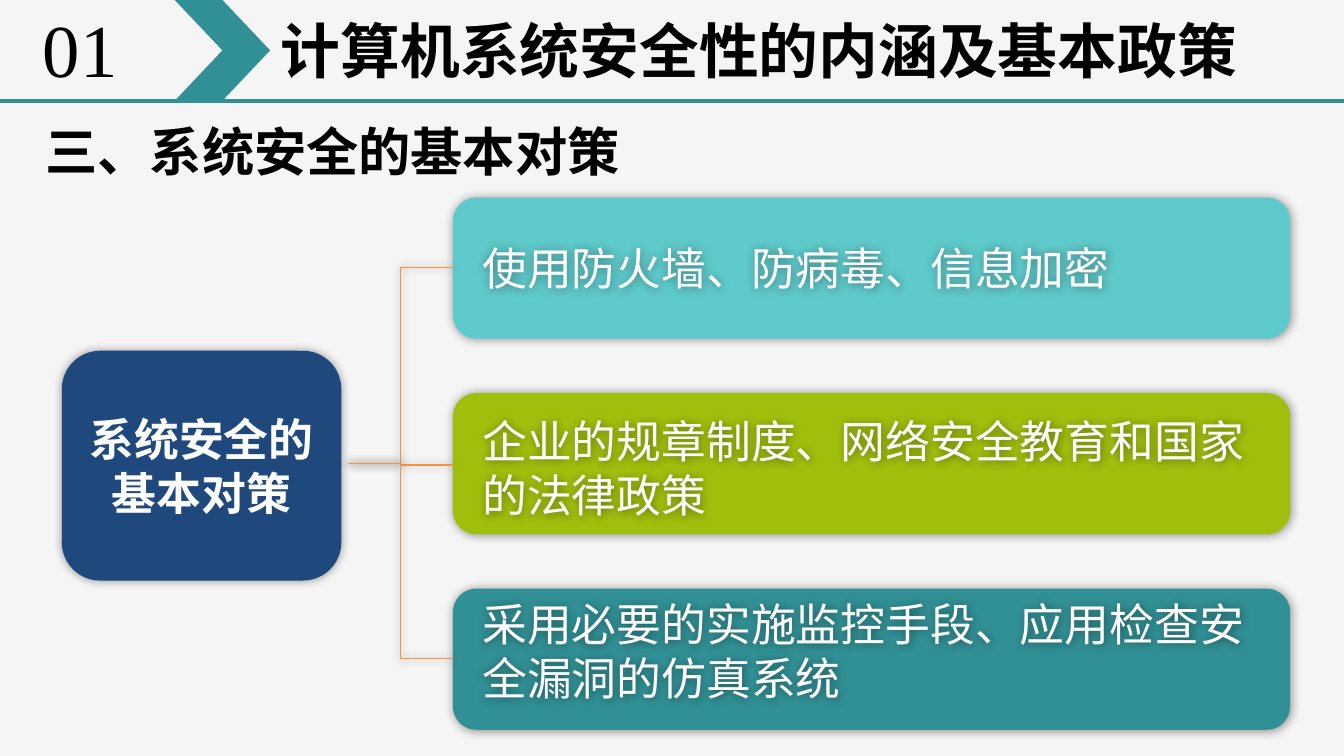
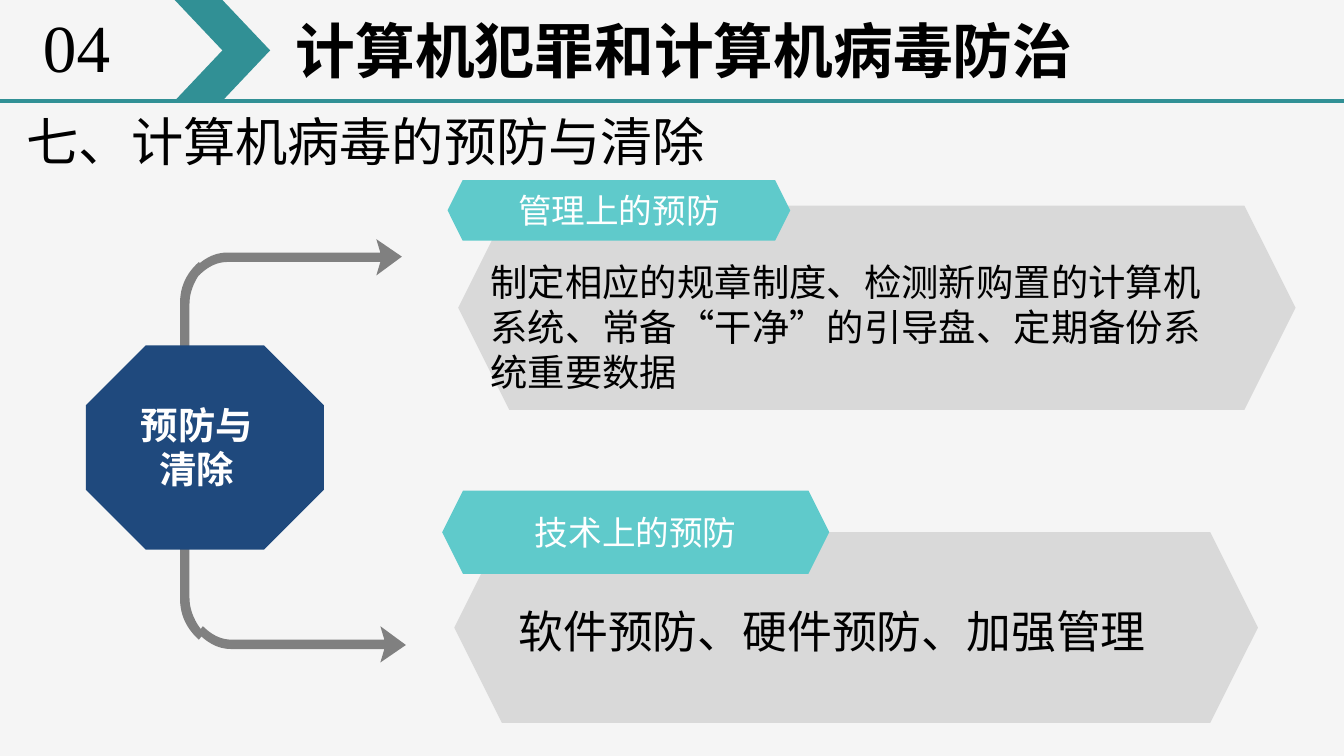
from dataclasses import dataclass

from lxml.etree import SubElement
from pptx import Presentation
from pptx.dml.color import RGBColor
from pptx.enum.shapes import MSO_CONNECTOR, MSO_SHAPE
from pptx.enum.text import MSO_ANCHOR, MSO_AUTO_SIZE, PP_ALIGN
from pptx.oxml.ns import qn
from pptx.util import Inches, Pt

PAPER, BLACK, WHITE = "F5F5F5", "000000", "FFFFFF"
TEAL, AQUA, LIME, NAVY = "319095", "5FCACB", "A0BF0D", "1F497D"
SILVER, GRAY, ORANGE = "D9D9D9", "808080", "F69240"
FONT = "Times New Roman"
TIGHT, NORMAL = (0.08, 0.04), (0.1, 0.05)
WIDTH = 10
HEIGHT = WIDTH * 9 / 16
MIRROR_SUM = 6.71

Box = tuple[float, float, float, float]
Point = tuple[float, float]


@dataclass
class Label:
    """Text with its look and frame settings."""
    text: str
    size: int
    color: str = BLACK
    bold: bool = False
    center: bool = False
    wrap: bool = True
    spacing: float | None = None
    inset: Point = NORMAL


@dataclass
class Branch:
    """One measure in the tree of slide 1."""
    color: str
    text: str
    text_top: float
    text_size: Point
    link_y: float


@dataclass
class Method:
    """One kind of prevention on slide 2."""
    panel: Box
    tag: Box
    title: str
    body: Box
    text: str
    size: int


BRANCHES = [
    Branch(AQUA, "使用防火墙、防病毒、信息加密", 1.74, (5.42, 0.5), 1.99),
    Branch(LIME, "企业的规章制度、网络安全教育和国家的法律政策", 3.03, (5.97, 0.91), 3.46),
    Branch(TEAL, "采用必要的实施监控手段、应用检查安全漏洞的仿真系统", 4.39, (5.98, 0.91), 4.9),
]
METHODS = [
    Method((3.41, 1.53, 6.23, 1.52), (3.33, 1.34, 2.55, 0.45), "管理上的预防",
           (3.55, 1.88, 5.63, 1.11),
           "制定相应的规章制度、检测新购置的计算机系统、常备“干净”的引导盘、定期备份系统重要数据", 20),
    Method((3.38, 3.96, 5.98, 1.42), (3.29, 3.65, 2.88, 0.62), "技术上的预防",
           (3.76, 4.44, 5.1, 0.5), "软件预防、硬件预防、加强管理", 24),
]
STEM = [[(1.52, 2)], [(1.46, 2.06), (1.41, 2.16), (1.41, 2.26)], [(1.41, 3.35)],
        [(1.34, 3.35)], [(1.34, 2.25)], [(1.34, 2.13), (1.39, 2.03), (1.48, 1.95)]]
ARROW = [[(2.83, 1.88)], [(2.8, 1.78)], [(2.99, 1.91)], [(2.8, 2.05)], [(2.83, 1.95)],
         [(1.69, 1.95)], [(1.61, 1.95), (1.54, 1.99), (1.48, 2.05)], [(1.44, 2)],
         [(1.51, 1.93), (1.59, 1.88), (1.69, 1.88)]]


def rgb(color: str) -> RGBColor:
    """Turn a hex string into a colour."""
    return RGBColor.from_string(color)


def inches(values) -> list:
    """Convert numbers to lengths."""
    return [Inches(v) for v in values]


def set_all(target, values: dict) -> None:
    """Set each named attribute on the target."""
    for name, value in values.items():
        setattr(target, name, value)


def set_shadow(sp, glow: bool) -> None:
    """Replace the theme shadow by a soft glow or by nothing."""
    effects = SubElement(sp._element.spPr, qn("a:effectLst"))
    if glow:
        shadow = SubElement(effects, qn("a:outerShdw"), blurRad=str(Pt(5)), dist="0",
                            dir="0", algn="ctr", rotWithShape="0")
        color = SubElement(shadow, qn("a:srgbClr"), val=BLACK)
        SubElement(color, qn("a:alpha"), val="40000")


def write(sp, label: Label, **frame) -> None:
    """Fill the text frame of a shape, one paragraph a line."""
    tf = sp.text_frame
    dx, dy = inches(label.inset)
    set_all(tf, dict(margin_left=dx, margin_right=dx, margin_top=dy, margin_bottom=dy,
                     word_wrap=label.wrap, **frame))
    for i, line in enumerate(label.text.split("\n")):
        p = tf.add_paragraph() if i else tf.paragraphs[0]
        set_all(p, dict(alignment=PP_ALIGN.CENTER if label.center else PP_ALIGN.LEFT,
                        line_spacing=label.spacing))
        r = p.add_run()
        r.text = line
        set_all(r.font, dict(name=FONT, size=Pt(label.size), bold=label.bold))
        r.font.color.rgb = rgb(label.color)


def paint(sp, color: str, glow: bool = False) -> None:
    """Give a shape a plain fill without an outline."""
    sp.fill.solid()
    sp.fill.fore_color.rgb = rgb(color)
    sp.line.fill.background()
    set_shadow(sp, glow)


def add_block(s, kind, box: Box, color: str, label: Label | None = None,
              glow: bool = False) -> None:
    """Draw a filled preset shape, with text if given."""
    sp = s.shapes.add_shape(kind, *inches(box))
    paint(sp, color, glow)
    if label:
        write(sp, label, vertical_anchor=MSO_ANCHOR.MIDDLE)


def add_text(s, box: Box, label: Label, glow: bool = False) -> None:
    """Draw a text box that fits its text."""
    sp = s.shapes.add_textbox(*inches(box))
    write(sp, label, auto_size=MSO_AUTO_SIZE.SHAPE_TO_FIT_TEXT)
    if glow:
        set_shadow(sp, glow)


def add_line(s, kind, ends: Box, color: str, width: float, glow: bool = False) -> None:
    """Draw a connector between two points."""
    c = s.shapes.add_connector(kind, *inches(ends))
    c.line.color.rgb = rgb(color)
    c.line.width = Pt(width)
    set_shadow(c, glow)


def flatten(outline: list[list[Point]], steps: int = 12) -> list[Point]:
    """Turn straight and cubic segments into points."""
    points = []
    for segment in outline:
        if len(segment) == 1:
            points += segment
            continue
        a, (b, c, d) = points[-1], segment
        for t in (i / steps for i in range(1, steps + 1)):
            u = 1 - t
            points.append(tuple(u**3 * a[k] + 3 * u * u * t * b[k] + 3 * u * t * t * c[k]
                                + t**3 * d[k] for k in (0, 1)))
    return points


def add_outline(s, points: list[Point]) -> None:
    """Draw a closed grey outline."""
    start, *rest = [tuple(inches(point)) for point in points]
    builder = s.shapes.build_freeform(*start)
    builder.add_line_segments(rest, close=True)
    paint(builder.convert_to_shape(), GRAY)


def add_page(prs, number: Label, number_box: Box, title: str, title_box: Box):
    """Add a slide with the shared heading band."""
    s = prs.slides.add_slide(prs.slide_layouts[6])
    s.background.fill.solid()
    s.background.fill.fore_color.rgb = rgb(PAPER)
    add_line(s, MSO_CONNECTOR.STRAIGHT, (0, 0.75, 10.01, 0.75), TEAL, 2.25)
    add_block(s, MSO_SHAPE.CHEVRON, (1.3, 0, 0.71, 0.75), TEAL)
    add_text(s, number_box, number)
    add_text(s, title_box, Label(title, 32, bold=True, inset=TIGHT))
    return s


def build_measures(prs) -> None:
    """Build the tree of security measures."""
    s = add_page(prs, Label("01", 40, wrap=False, inset=TIGHT), (0.24, -0.02, 0.73, 0.76),
                 "计算机系统安全性的内涵及基本政策", (2.01, 0.06, 7.45, 0.62))
    add_text(s, (0.24, 0.84, 4.52, 0.57),
             Label("三、系统安全的基本对策", 28, bold=True, wrap=False))
    add_block(s, MSO_SHAPE.ROUNDED_RECTANGLE, (0.46, 2.61, 2.08, 1.71), NAVY,
              Label("系统安全的\n基本对策", 24, WHITE, True, True, inset=TIGHT), True)
    left = 3.37
    for i, branch in enumerate(BRANCHES):
        add_block(s, MSO_SHAPE.ROUNDED_RECTANGLE, (left, 1.47 + i * 2.91 / 2, 6.23, 1.05),
                  branch.color, glow=True)
        add_line(s, MSO_CONNECTOR.ELBOW, (2.59, 3.45, left, branch.link_y),
                 ORANGE, 0.75, True)
        add_text(s, (3.49, branch.text_top, *branch.text_size),
                 Label(branch.text, 24, WHITE), True)


def build_prevention(prs) -> None:
    """Build the two kinds of virus prevention."""
    s = add_page(prs, Label("04", 36, wrap=False, inset=(0.07, 0.04)), (0.25, 0, 0.66, 0.68),
                 "计算机犯罪和计算机病毒防治", (2.12, 0.06, 6.89, 0.62))
    add_text(s, (0.1, 0.3, 5.31, 0.9),
             Label("七、计算机病毒的预防与清除", 28, wrap=False, spacing=2.0))
    for outline, shift in ((STEM, 0), (ARROW, 0.03)):
        points = flatten(outline)
        add_outline(s, points)
        add_outline(s, [(x + shift, MIRROR_SUM - y) for x, y in points])
    add_block(s, MSO_SHAPE.OCTAGON, (0.64, 2.57, 1.77, 1.52), NAVY)
    add_text(s, (0.74, 2.94, 1.45, 0.77), Label("预防与\n清除", 20, WHITE, True, True))
    for method in METHODS:
        add_block(s, MSO_SHAPE.HEXAGON, method.panel, SILVER)
        add_block(s, MSO_SHAPE.HEXAGON, method.tag, AQUA,
                  Label(method.title, 18, WHITE, center=True))
        add_text(s, method.body, Label(method.text, method.size))


def main() -> None:
    """Build and save the presentation."""
    prs = Presentation()
    set_all(prs, dict(slide_width=Inches(WIDTH), slide_height=Inches(HEIGHT)))
    build_measures(prs)
    build_prevention(prs)
    prs.save("out.pptx")


if __name__ == "__main__":
    main()
